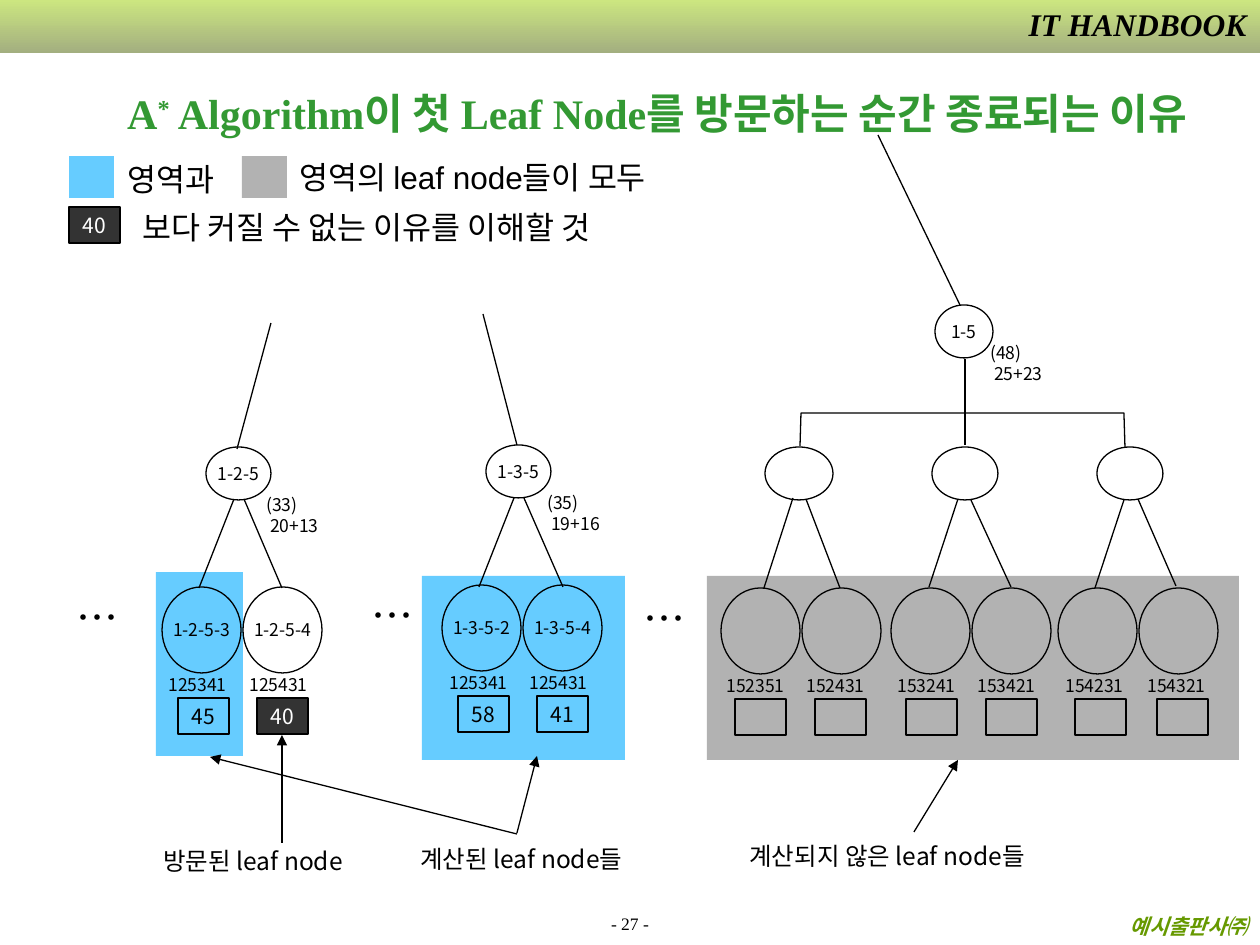
from lxml.etree import SubElement
from pptx import Presentation
from pptx.dml.color import RGBColor
from pptx.enum.shapes import MSO_CONNECTOR, MSO_SHAPE
from pptx.enum.text import MSO_ANCHOR, MSO_AUTO_SIZE, PP_ALIGN
from pptx.oxml.ns import qn
from pptx.util import Pt

PX = 914400 // 126
COLORS = {
    "black": "000000", "white": "FFFFFF", "blue": "66CCFF", "gray": "B2B2B2",
    "dark": "333333", "title": "339933", "publisher": "669900",
    "band_top": "CCE680", "band_bottom": "A3AF80",
}
COLORS = {name: RGBColor.from_string(value) for name, value in COLORS.items()}
SANS, SERIF, ARIAL = "Noto Sans CJK KR", "Times New Roman", "Arial"

presentation = Presentation()
presentation.slide_width = 1260 * PX
presentation.slide_height = 945 * PX
slide = presentation.slides.add_slide(presentation.slide_layouts[6])
shapes = slide.shapes


def write_text(shape, text, size, color="black", align=PP_ALIGN.LEFT,
               anchor=MSO_ANCHOR.TOP, wrap=False, **font_format):
    """Write one paragraph per line; an asterisk becomes a superscript."""
    frame = shape.text_frame
    frame.word_wrap = wrap
    frame.vertical_anchor = anchor
    for index, line in enumerate(text.split("\n")):
        paragraph = frame.add_paragraph() if index else frame.paragraphs[0]
        paragraph.alignment = align
        for piece in filter(None, line.partition("*")):
            run = paragraph.add_run()
            run.text = piece
            run.font.color.rgb = COLORS[color]
            for name, value in {"name": SANS, "size": Pt(size), **font_format}.items():
                setattr(run.font, name, value)
            if piece == "*":
                run.font._element.set("baseline", "30000")


def add_box(kind, box, fill=None, outlined=True, label="", size=10, color="black"):
    shape = shapes.add_shape(kind, *(value * PX for value in box))
    shape.shadow.inherit = False
    if fill:
        shape.fill.solid()
        shape.fill.fore_color.rgb = COLORS[fill]
    else:
        shape.fill.background()
    if outlined:
        shape.line.color.rgb = COLORS["black"]
        shape.line.width = Pt(0.75)
    else:
        shape.line.fill.background()
    if label:
        write_text(shape, label, size, color, PP_ALIGN.CENTER, MSO_ANCHOR.MIDDLE)
    return shape


# Header band
band = add_box(MSO_SHAPE.RECTANGLE, (0, 0, 1260, 53), outlined=False)
band.fill.gradient()
band.fill.gradient_angle = 270
for stop, name in zip(band.fill.gradient_stops, ("band_top", "band_bottom")):
    stop.color.rgb = COLORS[name]

# Areas behind the leaves and their legend swatches
for box, fill in [
    ((156, 572, 87, 184), "blue"),
    ((422, 576, 203, 184), "blue"),
    ((707, 576, 532, 184), "gray"),
    ((69, 156, 45, 42), "blue"),
    ((242, 156, 45, 42), "gray"),
]:
    add_box(MSO_SHAPE.RECTANGLE, box, fill, outlined=False)
add_box(MSO_SHAPE.RECTANGLE, (69, 207, 51, 36), "dark", label="40", size=12, color="white")

# Inner nodes
for left, top, width, label in [
    (935, 305, 58, "1-5"), (206, 447, 65, "1-2-5"), (486, 445, 65, "1-3-5"),
    (765, 447, 68, ""), (932, 447, 66, ""), (1097, 447, 66, ""),
]:
    add_box(MSO_SHAPE.OVAL, (left, top, width, 53), label=label)

# Leaves: circle, path code and value box
texts = []
for top, circle_left, code_left, value_left, label, code, value in [
    (587, 162, 156, 178, "1-2-5-3", "125341", "45"),
    (587, 243, 237, 257, "1-2-5-4", "125431", "40"),
    (585, 442, 437, 458, "1-3-5-2", "125341", "58"),
    (585, 523, 517, 537, "1-3-5-4", "125431", "41"),
    (588, 721, 714, 735, "", "152351", ""),
    (588, 802, 794, 815, "", "152431", ""),
    (588, 891, 885, 906, "", "153241", ""),
    (588, 972, 965, 986, "", "153421", ""),
    (588, 1058, 1053, 1075, "", "154231", ""),
    (588, 1139, 1135, 1157, "", "154321", ""),
]:
    visited = value == "40"
    add_box(MSO_SHAPE.OVAL, (circle_left, top, 79, 86), label=label)
    add_box(MSO_SHAPE.RECTANGLE, (value_left, top + 111, 51, 36),
            "dark" if visited else None, label=value, size=12,
            color="white" if visited else "black")
    texts.append(((code_left, top + 81, 84, 34), code, {"size": 10}))

# Branches and arrows
branches = [
    (878, 135, 960, 305), (271, 323, 237, 449), (483, 314, 517, 445),
    (965, 359, 965, 445),
    (234, 499, 199, 588), (244, 499, 282, 588),
    (514, 498, 479, 587), (524, 498, 563, 587),
    (793, 498, 764, 588), (806, 499, 840, 588),
    (958, 499, 929, 587), (971, 500, 1011, 587),
    (1124, 500, 1095, 588), (1138, 499, 1176, 586),
]
arrows = [
    (517, 833, 537, 756), (517, 834, 210, 757),
    (914, 832, 958, 760), (282, 843, 282, 735),
]
for ends in branches + arrows:
    connector = shapes.add_connector(MSO_CONNECTOR.STRAIGHT, *(value * PX for value in ends))
    connector.line.color.rgb = COLORS["black"]
    connector.line.width = Pt(0.75)
    if ends in arrows:
        SubElement(connector.line._get_or_add_ln(), qn("a:tailEnd"), type="triangle")
    SubElement(connector._element.spPr, qn("a:effectLst"))

builder = shapes.build_freeform(800, 446, scale=PX)
builder.add_line_segments([(801, 413), (1124, 413), (1125, 447)], close=False)
bracket = builder.convert_to_shape()
bracket.shadow.inherit = False
bracket.fill.background()
bracket.line.color.rgb = COLORS["black"]
bracket.line.width = Pt(0.75)

# Free-standing text
for left, top, text in [
    (254, 488, "(33)\n 20+13"), (535, 486, "(35)\n 19+16"), (978, 336, "(48)\n 25+23"),
]:
    texts.append(((left, top, 79, 55), text, {"size": 10}))
for left, top in [(64, 585), (359, 583), (631, 586)]:
    texts.append(((left, top, 58, 63), "…", {"size": 24}))
for box, text in [
    ((151, 840, 213, 43), "방문된 leaf node"),
    ((408, 838, 242, 43), "계산된 leaf node들"),
    ((737, 835, 316, 43), "계산되지 않은 leaf node들"),
]:
    texts.append((box, text, {"size": 14}))
for box, text in [
    ((115, 154, 121, 50), "영역과"),
    ((287, 152, 408, 50), "영역의 leaf node들이 모두"),
    ((130, 202, 501, 50), "보다 커질 수 없는 이유를 이해할 것"),
]:
    texts.append((box, text, {"size": 18, "name": ARIAL}))

serif = {"name": SERIF, "wrap": True}
corner = {**serif, "align": PP_ALIGN.RIGHT, "bold": True, "italic": True}
texts += [
    ((54, 58, 1206, 110), "A* Algorithm이 첫 Leaf Node를 방문하는 순간 종료되는 이유",
     {**serif, "size": 24, "color": "title", "bold": True,
      "align": PP_ALIGN.CENTER, "anchor": MSO_ANCHOR.MIDDLE}),
    ((993, -1, 266, 50), "IT HANDBOOK", {**corner, "size": 18}),
    ((8, 907, 1252, 38), "예시출판사㈜", {**corner, "size": 12, "color": "publisher"}),
    ((0, 912, 1260, 28), "- 27 -",
     {**serif, "size": 10, "align": PP_ALIGN.CENTER, "anchor": MSO_ANCHOR.BOTTOM}),
]
for box, text, text_format in texts:
    text_box = shapes.add_textbox(*(value * PX for value in box))
    text_box.text_frame.auto_size = MSO_AUTO_SIZE.NONE
    write_text(text_box, text, **text_format)

presentation.save("out.pptx")
